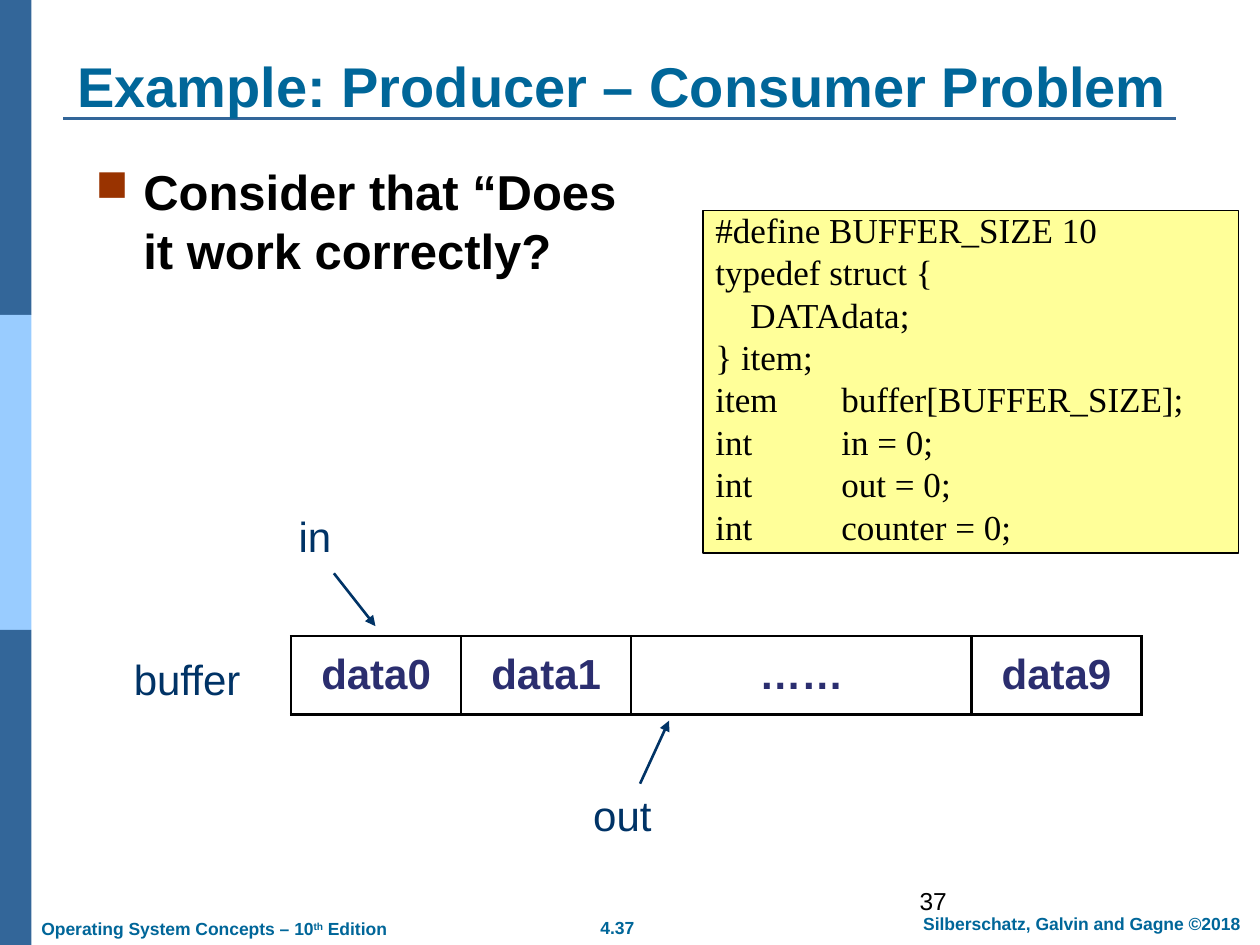
from lxml.etree import SubElement
from pptx import Presentation
from pptx.dml.color import RGBColor
from pptx.enum.shapes import MSO_CONNECTOR, MSO_SHAPE
from pptx.enum.text import MSO_ANCHOR as ANCHOR, PP_ALIGN as ALIGN
from pptx.oxml.ns import qn
from pptx.util import Inches, Pt

STEEL = RGBColor(0x33, 0x66, 0x99)
SKY = RGBColor(0x99, 0xCC, 0xFF)
TEAL = RGBColor(0x00, 0x66, 0x99)
NAVY = RGBColor(0x00, 0x33, 0x66)
INDIGO = RGBColor(0x2B, 0x2E, 0x6F)
BLACK = RGBColor(0, 0, 0)
YELLOW = RGBColor(0xFF, 0xFF, 0x99)
RUST = "993300"

WIDTH, HEIGHT = 10, 7.5
BAND = HEIGHT / 3  # the side stripe has three equal bands
CELL = 1.35  # one buffer slot

CODE = [
    "#define BUFFER_SIZE 10",
    "typedef struct {",
    "    DATA\tdata;",
    "} item;",
    "item\tbuffer[BUFFER_SIZE];",
    "int\tin = 0;",
    "int\tout = 0;",
    "int\tcounter = 0;",
]


def write(tf, lines, size=24, color=NAVY, bold=False, font="Arial",
          align=ALIGN.LEFT, spacing=None, before=0, tab=None, bullet=None):
    """Fill a text frame; a line is a string or a list of (text, superscript)."""
    for i, line in enumerate(lines):
        p = tf.paragraphs[0] if i == 0 else tf.add_paragraph()
        p.alignment = align
        if spacing:
            p.line_spacing = spacing
        if i and before:
            p.space_before = Pt(before)
        pPr = p._p.get_or_add_pPr()
        if bullet:
            indent = Inches(0.38)
            pPr.set("marL", str(indent))
            pPr.set("indent", str(-indent))
            SubElement(SubElement(pPr, qn("a:buClr")), qn("a:srgbClr"), val=RUST)
            SubElement(pPr, qn("a:buSzPct"), val="90000")
            SubElement(pPr, qn("a:buChar"), char=bullet)
        if tab:
            tabs = SubElement(pPr, qn("a:tabLst"))
            SubElement(tabs, qn("a:tab"), pos=str(Inches(tab)), algn="l")
        for text, superscript in [(line, False)] if isinstance(line, str) else line:
            r = p.add_run()
            r.text = text
            r.font.name, r.font.size, r.font.bold = font, Pt(size), bold
            r.font.color.rgb = color
            if superscript:
                r.font._element.set("baseline", "30000")


def add_text(s, box, line, wrap=True, anchor=ANCHOR.TOP, **fmt):
    tf = s.shapes.add_textbox(*map(Inches, box)).text_frame
    tf.word_wrap = wrap
    tf.vertical_anchor = anchor
    write(tf, [line], **fmt)


def add_rect(s, box, fill, line=None):
    sp = s.shapes.add_shape(MSO_SHAPE.RECTANGLE, *map(Inches, box))
    sp.shadow.inherit = False
    sp.fill.solid()
    sp.fill.fore_color.rgb = fill
    if line is None:
        sp.line.fill.background()
    else:
        sp.line.color.rgb = line
        sp.line.width = Pt(0.75)
    return sp


def add_line(s, start, end, color, arrow=False):
    cx = s.shapes.add_connector(MSO_CONNECTOR.STRAIGHT, *map(Inches, start + end))
    cx.line.color.rgb = color
    cx.line.width = Pt(1.5)
    if arrow:
        SubElement(cx.line._get_or_add_ln(), qn("a:tailEnd"), type="triangle")
    SubElement(cx._element.spPr, qn("a:effectLst"))


def add_buffer(s, left, top, height, slots):
    """Draw the buffer as a one-row table; slots are (text, slots wide)."""
    spans = [span for _, span in slots]
    table = s.shapes.add_table(1, len(slots), Inches(left), Inches(top),
                               Inches(CELL * sum(spans)), Inches(height)).table
    table.first_row = table.horz_banding = False
    for i, (text, span) in enumerate(slots):
        table.columns[i].width = Inches(CELL * span)
        cell = table.cell(0, i)
        cell.vertical_anchor = ANCHOR.MIDDLE
        write(cell.text_frame, [text], color=INDIGO, bold=True, align=ALIGN.CENTER)
        tcPr = cell._tc.get_or_add_tcPr()
        for side in ("a:lnL", "a:lnR", "a:lnT", "a:lnB"):
            ln = SubElement(tcPr, qn(side), w=str(Pt(1.47)))
            SubElement(SubElement(ln, qn("a:solidFill")), qn("a:srgbClr"), val=str(BLACK))
        cell.fill.background()


def add_frame(s):
    # Side stripe and title rule
    for row, color in enumerate((STEEL, SKY, STEEL)):
        add_rect(s, (0, row * BAND, WIDTH / 40, BAND), color)
    add_line(s, (0.5, 0.94), (9.33, 0.94), STEEL)

    # Footer
    footer = dict(size=10, color=TEAL, bold=True)
    add_text(s, (4.41, 7.23, 0.98, 0.27), "4.37", wrap=False, align=ALIGN.CENTER, **footer)
    add_text(s, (7.1, 7.2, 2.97, 0.27), "Silberschatz, Galvin and Gagne ©2018",
             align=ALIGN.CENTER, **footer)
    edition = [("Operating System Concepts – 10", False), ("th", True), (" Edition", False)]
    add_text(s, (0.23, 7.24, 2.94, 0.27), edition, wrap=False, **footer)
    add_text(s, (7.2, 6.98, 2.33, 0.52), "37", size=14, color=BLACK)


def main():
    prs = Presentation()
    prs.slide_width, prs.slide_height = Inches(WIDTH), Inches(HEIGHT)
    s = prs.slides.add_slide(prs.slide_layouts[6])
    add_frame(s)

    # Title and question
    add_text(s, (0.44, 0.22, 9, 0.77), "Example: Producer – Consumer Problem",
             anchor=ANCHOR.BOTTOM, size=32, color=TEAL, bold=True, align=ALIGN.CENTER)
    add_text(s, (0.66, 1.23, 4.58, 5.25), "Consider that “Does it work correctly?",
             size=28, color=BLACK, bold=True, bullet="■")

    # Shared declarations
    tf = add_rect(s, (5.58, 1.67, 4.25, 2.72), YELLOW, BLACK).text_frame
    tf.word_wrap = True
    tf.vertical_anchor = ANCHOR.TOP
    write(tf, CODE, size=20, color=BLACK, font="Times New Roman",
          spacing=0.8, before=5, tab=1)

    # Buffer with its in and out pointers
    add_buffer(s, 2.31, 5.05, 0.62,
               [("data0", 1), ("data1", 1), ("……", 2), ("data9", 1)])
    add_line(s, (2.65, 4.55), (2.98, 4.97), NAVY, arrow=True)
    add_line(s, (5.08, 6.22), (5.31, 5.72), NAVY, arrow=True)
    for text, left, top, width in (("in", 2.27, 4, 0.46), ("out", 4.61, 6.22, 0.66),
                                   ("buffer", 0.96, 5.14, 1.05)):
        add_text(s, (left, top, width, 0.5), text, wrap=False, align=ALIGN.CENTER)

    prs.save("out.pptx")


if __name__ == "__main__":
    main()
